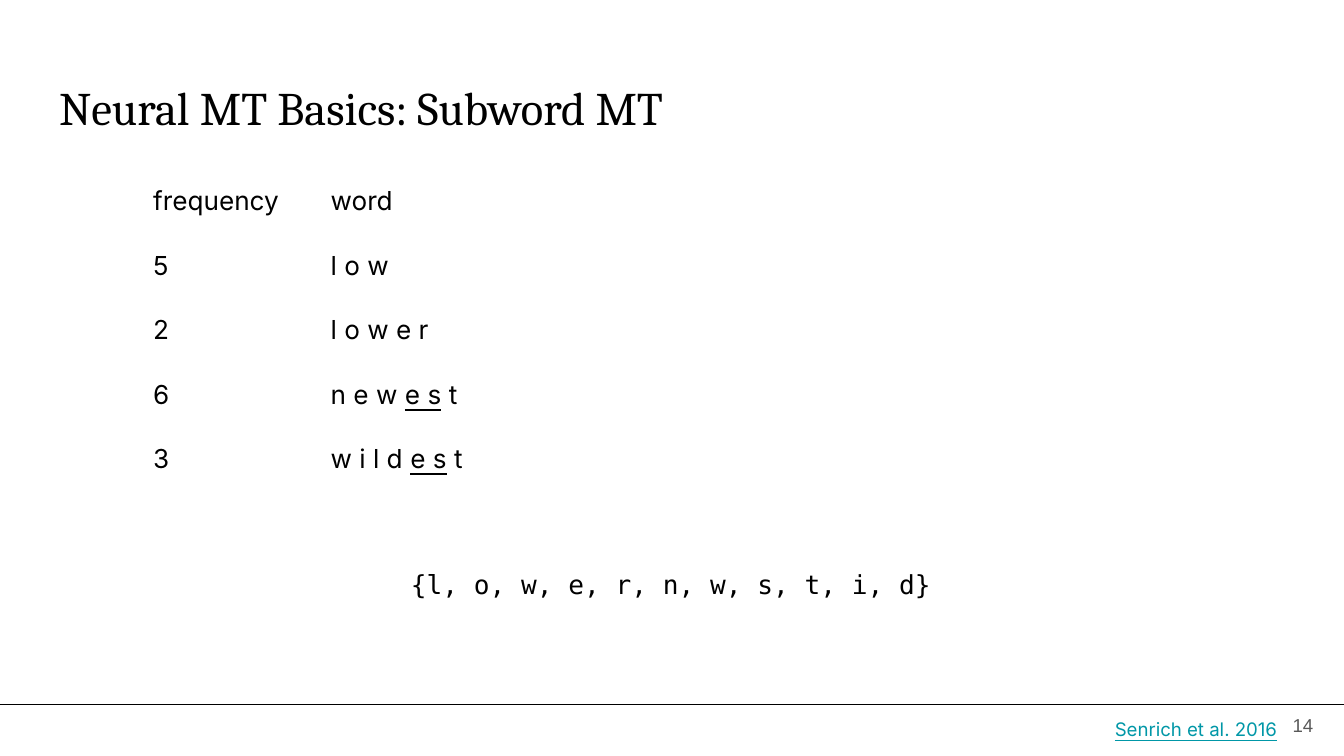
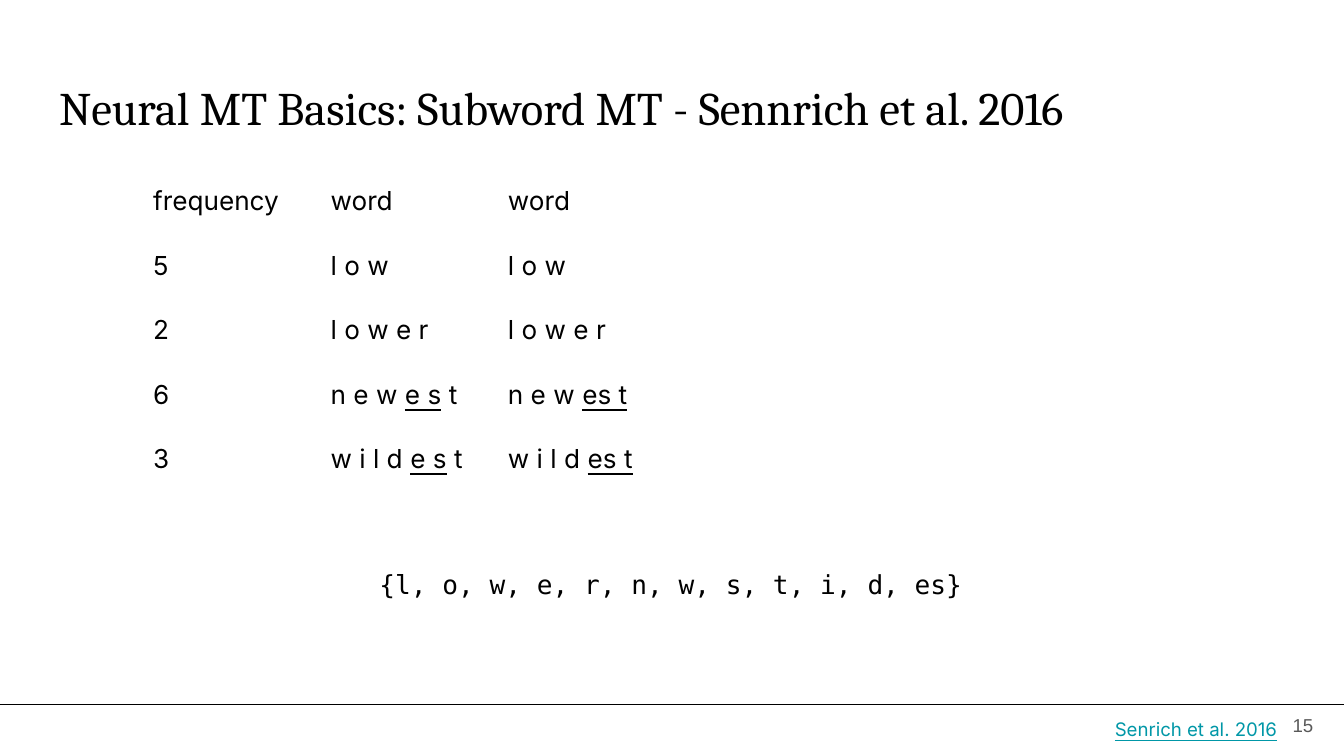
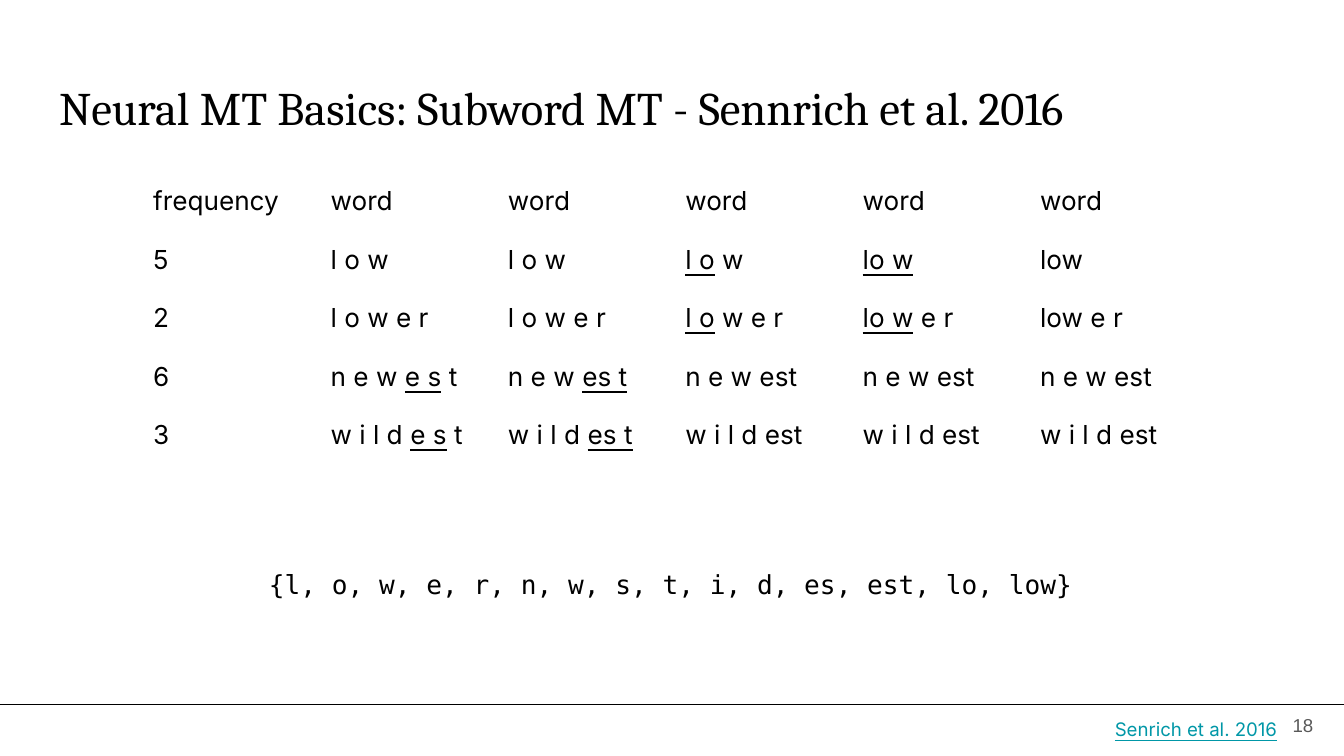
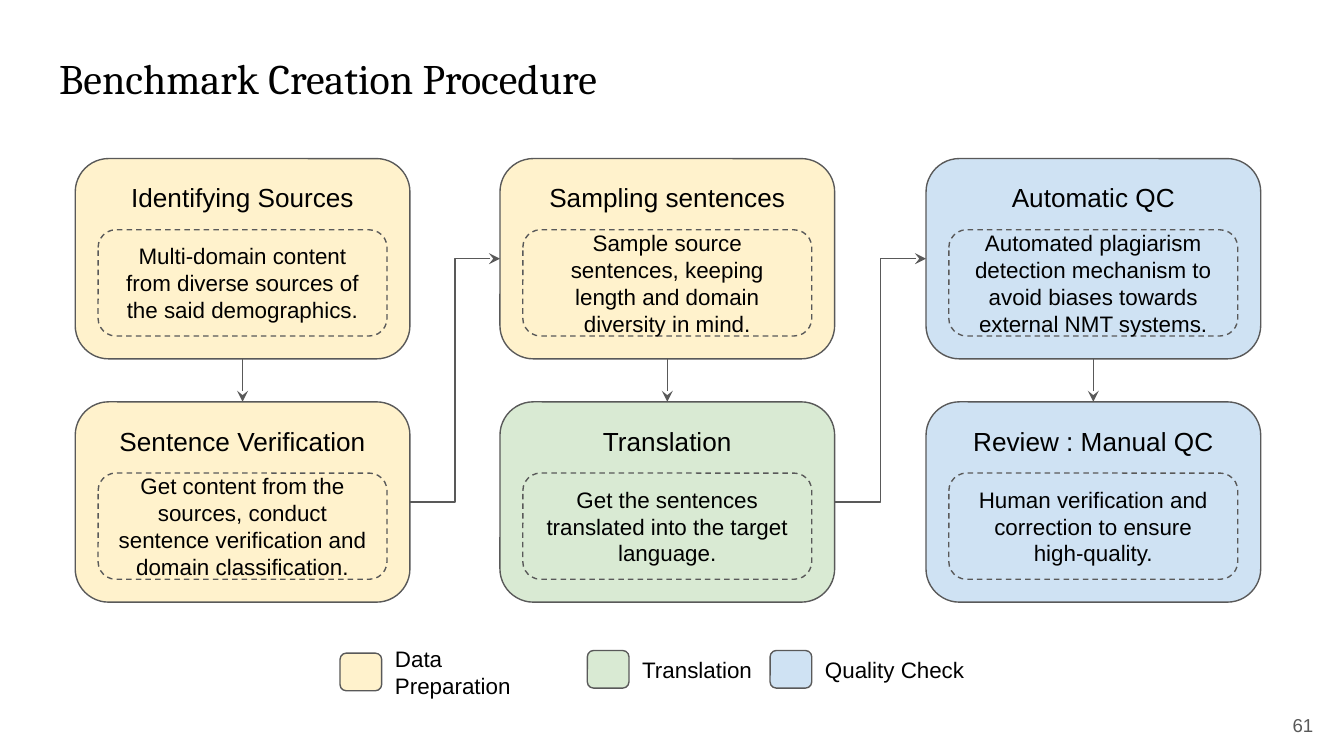
import pptx
import pptx.util
import pptx.dml.color
import pptx.enum.dml
import pptx.enum.shapes
import pptx.enum.text
import pptx.oxml
import pptx.oxml.ns

PX = 9144  # a hundredth of an inch
RGB = pptx.dml.color.RGBColor
BLACK = RGB(0x00, 0x00, 0x00)
GREY = RGB(0x59, 0x59, 0x59)
TEAL = RGB(0x00, 0x97, 0xA7)
CREAM = RGB(0xFF, 0xF2, 0xCC)
GREEN = RGB(0xD9, 0xEA, 0xD3)
BLUE = RGB(0xCF, 0xE2, 0xF3)
ALIGN = pptx.enum.text.PP_ALIGN
ANCHOR = pptx.enum.text.MSO_ANCHOR
ROUND = pptx.enum.shapes.MSO_SHAPE.ROUNDED_RECTANGLE
LINK = pptx.enum.shapes.MSO_CONNECTOR


def write(frame, text, size=12, font="Arial", color=BLACK, align=ALIGN.LEFT,
          anchor=ANCHOR.MIDDLE, after=0):
    """Fill a text frame; parts between underscores are underlined."""
    frame.word_wrap = True
    frame.auto_size = pptx.enum.text.MSO_AUTO_SIZE.NONE
    frame.vertical_anchor = anchor
    frame.margin_left = frame.margin_right = 10 * PX
    frame.margin_top = frame.margin_bottom = 10 * PX
    para = frame.paragraphs[0]
    para.alignment = align
    if after:
        para.space_after = pptx.util.Pt(after)
    for i, part in enumerate(text.split("_")):
        if part:
            run = para.add_run()
            run.text = part
            run.font.size = pptx.util.Pt(size)
            run.font.name = font
            run.font.color.rgb = color
            if i % 2:
                run.font.underline = True


def join(slide, kind, ends, color, head=False):
    """Draw a connector without shadow, with an arrowhead if asked."""
    link = slide.shapes.add_connector(kind, *[v * PX for v in ends])
    link.line.color.rgb = color
    link.line.width = pptx.util.Pt(0.75)
    if head:
        tip = pptx.oxml.ns.qn("a:tailEnd")
        link.line._get_or_add_ln().append(pptx.oxml.xmlchemy.OxmlElement("a:tailEnd"))
        link.line._get_or_add_ln().find(tip).set("type", "stealth")
    link._element.spPr.append(pptx.oxml.xmlchemy.OxmlElement("a:effectLst"))
    return link


deck = pptx.Presentation()
deck.slide_width = 1000 * PX
deck.slide_height = deck.slide_width * 9 // 16

# Titles and page numbers
BASICS = "Neural MT Basics: Subword MT"
PAGES = [
    (BASICS, 49, 25, "14"),
    (BASICS + " - Sennrich et al. 2016", 49, 25, "15"),
    (BASICS + " - Sennrich et al. 2016", 49, 25, "18"),
    ("Benchmark Creation Procedure", 29, 22.5, "61"),
]
slides = []
for text, top, size, number in PAGES:
    slide = deck.slides.add_slide(deck.slide_layouts[5])
    title = slide.shapes.title
    title.left, title.top, title.width, title.height = [
        v * PX for v in (34, top, 932, 63)]
    write(title.text_frame, text, size=size, font="Cambria", anchor=ANCHOR.TOP)
    page = slide.shapes.add_textbox(*[v * PX for v in (927, 518, 60, 43)])
    write(page.text_frame, number, size=10, color=GREY, align=ALIGN.RIGHT)
    slides.append(slide)

# Merge steps: each slide shows some more of the columns
STEPS = [
    ("frequency", "5", "2", "6", "3"),
    ("word", "l o w", "l o w e r", "n e w _e s_ t", "w i l d _e s_ t"),
    ("word", "l o w", "l o w e r", "n e w _es t_", "w i l d _es t_"),
    ("word", "_l o_ w", "_l o_ w e r", "n e w est", "w i l d est"),
    ("word", "_lo w_", "_lo w_ e r", "n e w est", "w i l d est"),
    ("word", "low", "low e r", "n e w est", "w i l d est"),
]
LETTERS = "{l, o, w, e, r, n, w, s, t, i, d"
# columns shown, columns in all, row height, merged symbols
VIEWS = [(2, 6, 48, "}"), (3, 5, 48, ", es}"), (6, 6, 43, ", es, est, lo, low}")]
for slide, (shown, total, tall, merged) in zip(slides, VIEWS):
    frame = slide.shapes.add_table(
        5, total, *[v * PX for v in (104, 128, 132 * total, tall * 5)])
    table = frame.table
    table.first_row = table.horz_banding = False
    for col in range(total):
        for row in range(5):
            cell = table.cell(row, col)
            cell.fill.background()
            cell.margin_left = cell.margin_right = 10 * PX
            cell.margin_top = cell.margin_bottom = 10 * PX
            if col < shown:
                write(cell.text_frame, STEPS[col][row], size=14, font="Inter",
                      anchor=ANCHOR.TOP)
            else:
                end = cell.text_frame.paragraphs[0]._p.get_or_add_endParaRPr()
                end.set("sz", "1400")
    vocab = slide.shapes.add_textbox(*[v * PX for v in (63, 373, 873, 123)])
    write(vocab.text_frame, LETTERS + merged, size=14, font="DejaVu Sans Mono",
          align=ALIGN.CENTER, after=10)
    join(slide, LINK.STRAIGHT, (0, 524, 1000, 524), BLACK)
    cite = slide.shapes.add_textbox(*[v * PX for v in (243, 524, 717, 37)])
    write(cite.text_frame, "_Senrich et al. 2016_", size=10, font="Inter",
          color=TEAL, align=ALIGN.RIGHT)

# Procedure: three columns of two stages
STAGES = [
    ("Identifying Sources", CREAM,
     "Multi-domain content from diverse sources of the said demographics."),
    ("Sentence Verification", CREAM,
     "Get content from the sources, conduct sentence verification and domain "
     "classification."),
    ("Sampling sentences", CREAM,
     "Sample source sentences, keeping length and domain diversity in mind."),
    ("Translation", GREEN,
     "Get the sentences translated into the target language."),
    ("Automatic QC", BLUE,
     "Automated plagiarism detection mechanism to avoid biases towards "
     "external NMT systems."),
    ("Review : Manual QC", BLUE,
     "Human verification and correction to ensure high-quality."),
]
LEGEND = [
    ("Data Preparation", CREAM, 253, 486, 145),
    ("Translation", GREEN, 437, 484, 106),
    ("Quality Check", BLUE, 573, 484, 133),
]
slide = slides[3]
boxes = []  # place, fill, dashed, text, size, anchor
for label, fill, left, top, wide in LEGEND:
    boxes.append(((left, top, 31, 28), fill, False, "", 12, ANCHOR.MIDDLE))
    note = slide.shapes.add_textbox(
        *[v * PX for v in (left + 31, top - 5, wide, 38)])
    write(note.text_frame, label)
for i, (name, fill, detail) in enumerate(STAGES):
    left, top = 56 + i // 2 * 633 // 2, 118 + i % 2 * 181
    boxes.append(((left, top, 249, 149), fill, False, name, 14, ANCHOR.TOP))
    boxes.append(((left + 17, top + 53, 215, 79), fill, True, detail, 12,
                  ANCHOR.MIDDLE))

outer = []
for place, fill, dashed, text, size, anchor in boxes:
    box = slide.shapes.add_shape(ROUND, *[v * PX for v in place])
    box.shadow.inherit = False
    box.fill.solid()
    box.fill.fore_color.rgb = fill
    box.line.color.rgb = GREY
    box.line.width = pptx.util.Pt(0.75)
    if dashed:
        box.line.dash_style = pptx.enum.dml.MSO_LINE.DASH
    elif text:
        outer.append(box)
    if text:
        write(box.text_frame, text, size=size, align=ALIGN.CENTER, anchor=anchor)

for i, (start, stop) in enumerate(zip(outer, outer[1:])):
    across = i % 2
    kind = LINK.ELBOW if across else LINK.STRAIGHT
    arrow = join(slide, kind, (0, 0, 0, 0), GREY, head=True)
    arrow.begin_connect(start, 3 if across else 2)
    arrow.end_connect(stop, 1 if across else 0)

deck.save("out.pptx")
